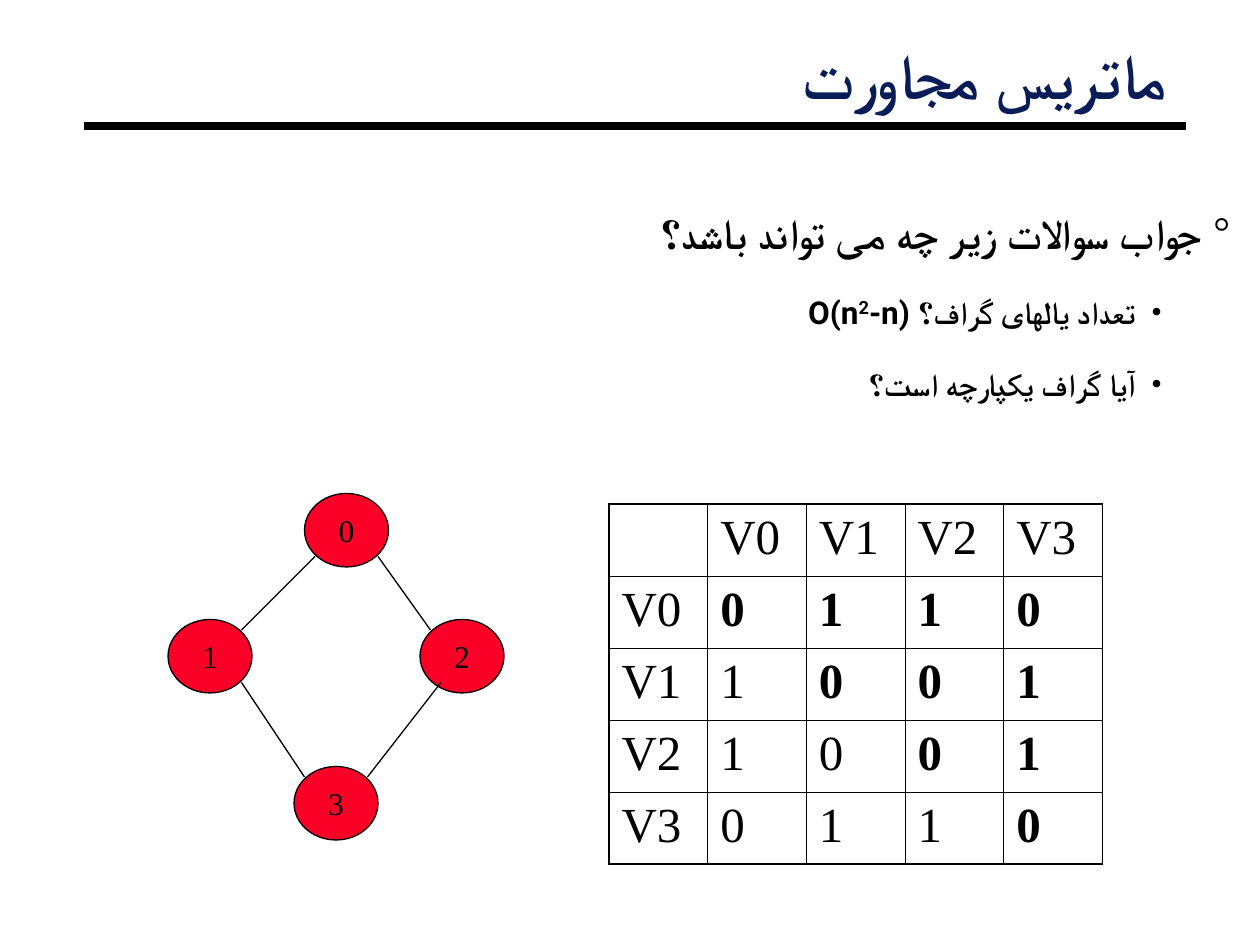
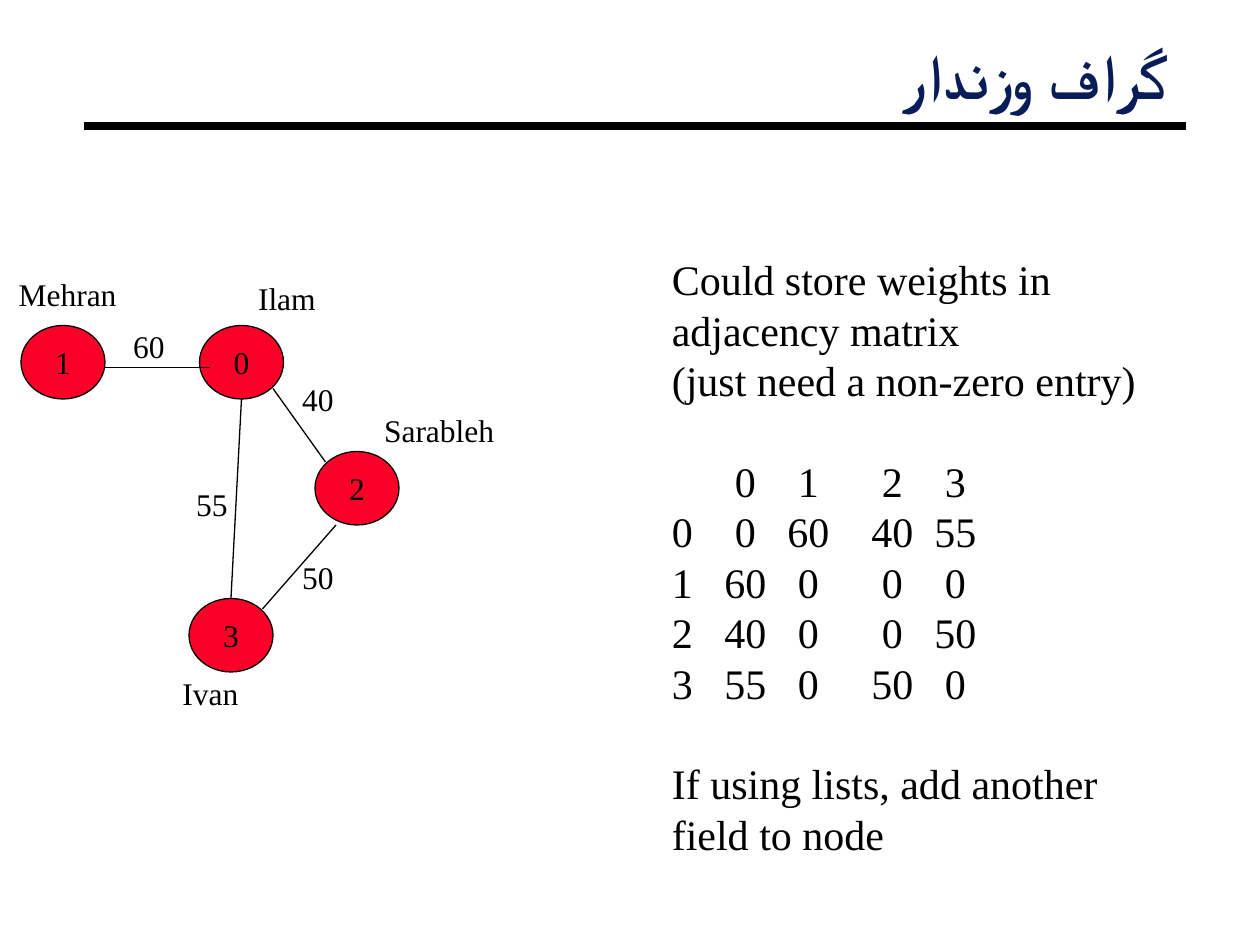
"""Build two slides on graphs: the adjacency matrix and the weighted graph."""
from dataclasses import dataclass

from lxml.etree import SubElement
from pptx import Presentation
from pptx.dml.color import RGBColor
from pptx.enum.shapes import MSO_CONNECTOR, MSO_SHAPE, MSO_SHAPE_TYPE
from pptx.enum.text import MSO_ANCHOR, MSO_AUTO_SIZE, PP_ALIGN
from pptx.oxml.ns import qn
from pptx.util import Inches, Pt


@dataclass(frozen=True)
class Theme:
    ink: RGBColor = RGBColor(0x00, 0x00, 0x00)
    navy: RGBColor = RGBColor(0x08, 0x1D, 0x58)
    red: RGBColor = RGBColor(0xFC, 0x01, 0x28)
    title_font: str = "Lato"
    body_font: str = "Roboto"
    text_font: str = "Times New Roman"
    title: int = 36
    table: int = 28
    text: int = 24
    label: int = 18
    thin: float = 0.75
    rule: float = 4.5


T = Theme()


def grid(*cells):
    """Turn grid steps of a twelfth of an inch into lengths."""
    return [Inches(c / 12) for c in cells]


def style(p, size, font=T.text_font, color=T.ink, bold=False):
    """Format every run of a paragraph."""
    for r in p.runs:
        r.font.size, r.font.name, r.font.bold = Pt(size), font, bold
        r.font.color.rgb = color
        SubElement(r.font._element, qn("a:cs")).set("typeface", font)


prs = Presentation()
prs.slide_width, prs.slide_height = Inches(10), Inches(7.5)

slides = [
    dict(layout=1, title="ماتریس مجاورت",
         nodes=[(29, 47), (16, 59), (40, 59), (28, 73)],
         edges=[(30, 53, 23, 60), (36, 53, 41, 60), (29, 74, 23, 65), (35, 74, 42, 65)],
         labels=[]),
    dict(layout=5, title="گراف وزندار",
         nodes=[(19, 31), (2, 31), (30, 43), (18, 57)],
         edges=[(20, 35, 10, 35), (26, 37, 31, 44), (22, 57, 23, 38), (25, 58, 32, 50)],
         labels=[("Mehran", 0.6, 25.6, 13.7), ("Ilam", 23.4, 26, 8.9),
                 ("Sarableh", 35.4, 38.6, 15.1), ("Ivan", 16.2, 63.6, 8.9),
                 ("60", 11.5, 30.6, 5.8), ("40", 27.6, 35.6, 5.8),
                 ("55", 17.5, 45.6, 5.8), ("50", 27.6, 52.6, 5.8)]),
]

for d in slides:
    s = prs.slides.add_slide(prs.slide_layouts[d["layout"]])
    sp = s.shapes.title
    sp.left, sp.top, sp.width, sp.height = grid(8, 4.1, 104, 7.2)
    tf = sp.text_frame
    tf.text = d["title"]
    tf.margin_left = tf.margin_right = Inches(0.07)
    tf.margin_top = tf.margin_bottom = Inches(0.03)
    tf.vertical_anchor, tf.auto_size = MSO_ANCHOR.TOP, MSO_AUTO_SIZE.SHAPE_TO_FIT_TEXT
    p = tf.paragraphs[0]
    p.alignment, p.line_spacing = PP_ALIGN.RIGHT, 0.87
    p._p.get_or_add_pPr().set("rtl", "1")
    style(p, T.title, T.title_font, T.navy, True)

    for i, (x, y) in enumerate(d["nodes"]):
        sp = s.shapes.add_shape(MSO_SHAPE.OVAL, *grid(x, y, 8, 7))
        sp.shadow.inherit = False
        sp.fill.solid()
        sp.fill.fore_color.rgb = T.red
        sp.line.color.rgb, sp.line.width = T.ink, Pt(T.thin)
        tf = sp.text_frame
        tf.text, tf.word_wrap, tf.vertical_anchor = str(i), False, MSO_ANCHOR.MIDDLE
        tf.paragraphs[0].alignment = PP_ALIGN.CENTER
        style(tf.paragraphs[0], T.label)

    for ends in d["edges"]:
        s.shapes.add_connector(MSO_CONNECTOR.STRAIGHT, *grid(*ends)).line.width = Pt(T.thin)

    for text, x, y, w in d["labels"]:
        tf = s.shapes.add_textbox(*grid(x, y, w, 4.8)).text_frame
        tf.text, tf.word_wrap = text, False
        style(tf.paragraphs[0], T.label)

matrix_slide, weighted_slide = prs.slides

sp = matrix_slide.placeholders[1]
sp.left, sp.top, sp.width, sp.height = grid(4, 17, 114, 28.6)
tf = sp.text_frame
tf.margin_left = tf.margin_right = Inches(0.07)
tf.margin_top = tf.margin_bottom = Inches(0.03)
tf.auto_size = MSO_AUTO_SIZE.NONE
questions = [
    (0, ["جواب سوالات زیر چه می تواند باشد؟"]),
    (1, ["تعداد یالهای گراف؟ O(n", "2", "-n)"]),
    (1, ["آیا گراف یکپارچه است؟"]),
]
levels = [("°", 0.22, 0.22, 19.5, T.text), ("•", 0.75, 0.21, 9, T.label)]
for i, (level, parts) in enumerate(questions):
    p = tf.paragraphs[0] if i == 0 else tf.add_paragraph()
    bullet, margin, hang, before, size = levels[level]
    p.level, p.alignment = level, PP_ALIGN.RIGHT
    p.line_spacing, p.space_before = 1.5, Pt(before)
    for part in parts:
        p.add_run().text = part
    style(p, size, T.body_font, bold=True)
    if len(parts) > 1:
        p.runs[1].font._element.set("baseline", "30000")
    pPr = p._p.get_or_add_pPr()
    for key, value in dict(rtl=1, marR=0, marL=Inches(margin), indent=-Inches(hang)).items():
        pPr.set(key, str(value))
    SubElement(pPr, qn("a:buFont")).set("typeface", T.text_font)
    SubElement(pPr, qn("a:buChar")).set("char", bullet)

adjacency = ["0110", "1001", "1001", "0110"]
names = [f"V{i}" for i in range(4)]
rows = [["", *names]] + [[name, *values] for name, values in zip(names, adjacency)]
n = len(rows)
tbl = matrix_slide.shapes.add_table(n, n, *grid(58, 48, 47, 34.3)).table
tbl.first_row = tbl.horz_banding = False
for i, row in enumerate(rows):
    for j, text in enumerate(row):
        cell = tbl.cell(i, j)
        tcPr = cell._tc.get_or_add_tcPr()
        for side, outer in zip("LRTB", (j == 0, j == n - 1, i == 0, i == n - 1)):
            ln = SubElement(tcPr, qn(f"a:ln{side}"), w=str(Pt(1.08 if outer else 0.45)))
            fill = SubElement(ln, qn("a:solidFill"))
            SubElement(fill, qn("a:srgbClr"), val=str(T.ink))
        cell.fill.background()
        cell.text = text
        style(cell.text_frame.paragraphs[0], T.table, bold=1 <= i <= j)

notes = [
    ("Could store weights in adjacency matrix", 0),
    ("(just need a non-zero entry)", 0),
    ("\t0\t1\t2\t3", 1),
    ("0\t0\t60\t40\t55", 0),
    ("1\t60\t0\t0\t0", 0),
    ("2\t40\t0\t0\t50", 0),
    ("3\t55\t0\t50\t0", 0),
    ("If using lists, add another field to node", 1),
]
pitch = 1.2 * T.text
tf = weighted_slide.shapes.add_textbox(*grid(62.8, 23.6, 48.6, 63.6)).text_frame
tf.word_wrap = True
for i, (text, gap) in enumerate(notes):
    p = tf.paragraphs[0] if i == 0 else tf.add_paragraph()
    p.text = text
    p.line_spacing, p.space_before = Pt(pitch), Pt(gap * pitch)
    style(p, T.text)
    if "\t" in text:
        tabs = SubElement(p._p.get_or_add_pPr(), qn("a:tabLst"))
        for stop in grid(7, 13, 21, 27):
            SubElement(tabs, qn("a:tab"), pos=str(stop), algn="ctr")

rule = matrix_slide.shapes.add_connector(MSO_CONNECTOR.STRAIGHT, *grid(8, 12, 113, 12))
rule.line.width = Pt(T.rule)
for s in prs.slides:
    for sp in s.shapes:
        if sp.shape_type == MSO_SHAPE_TYPE.LINE:
            sp.line.color.rgb = T.ink
            SubElement(sp._element.spPr, qn("a:effectLst"))
prs.slide_master.shapes.element.append(rule._element)

prs.save("out.pptx")
